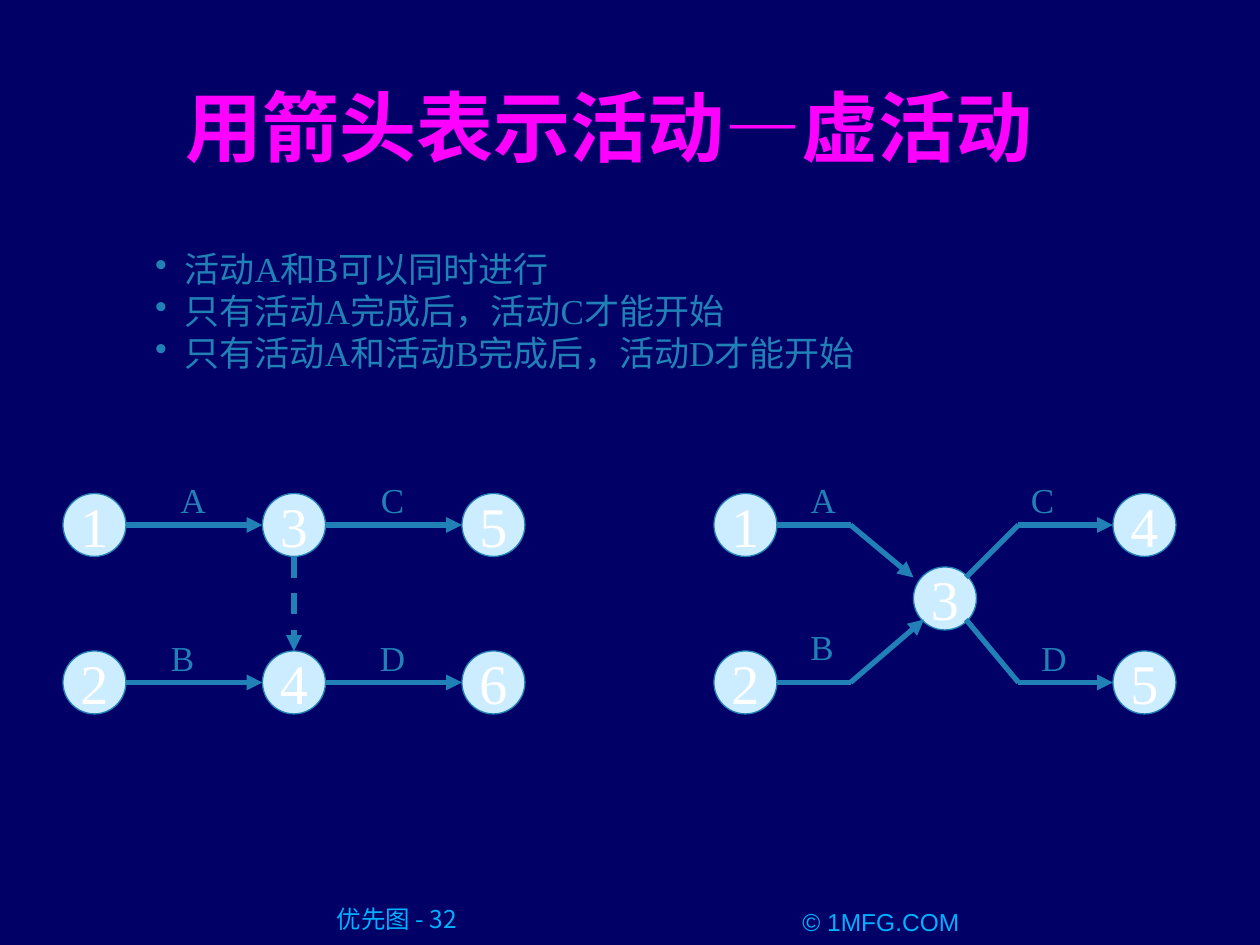
from dataclasses import dataclass
from typing import Any

from lxml import etree
from pptx import Presentation
from pptx.dml.color import RGBColor
from pptx.enum.dml import MSO_LINE
from pptx.enum.shapes import MSO_CONNECTOR, MSO_SHAPE
from pptx.enum.text import MSO_ANCHOR, PP_ALIGN
from pptx.oxml.ns import qn
from pptx.util import Emu, Pt

UNIT = 7620  # EMU in one px, 120 px to the inch
LEFT, CENTER = PP_ALIGN.LEFT, PP_ALIGN.CENTER
TOP, MIDDLE = MSO_ANCHOR.TOP, MSO_ANCHOR.MIDDLE
OVAL, STRAIGHT, DASH = MSO_SHAPE.OVAL, MSO_CONNECTOR.STRAIGHT, MSO_LINE.DASH
SERIF, SANS, CJK = "Times New Roman", "Arial", "Noto Sans CJK JP"
COLORS = {"back": "000066", "title": "FF00FF", "ink": "2181B7",
          "node": "CCECFF", "digit": "FFFFFF", "foot": "01B0FF"}
SIZE = 60
HALF = SIZE // 2
HIGH, MID, LOW = 500, 570, 650  # centre lines of the node rows


@dataclass
class Node:
    text: str
    x: int
    y: int


@dataclass
class Edge:
    x1: int
    y1: int
    x2: int
    y2: int
    arrow: bool = True
    dash: bool = False


@dataclass
class Label:
    text: str
    x: int
    y: int


@dataclass
class Graph:
    nodes: list[Node]
    edges: list[Edge]
    labels: list[Label]


def px(n: int) -> Emu:
    return Emu(n * UNIT)


def color(name: str) -> RGBColor:
    return RGBColor.from_string(COLORS[name])


def write(shape: Any, *lines: str, size: int = 20, ink: str = "ink",
          font: str = SERIF, bold: bool = False, align: Any = CENTER,
          anchor: Any = TOP, wrap: bool = True, bullet: bool = False,
          pad: tuple[int, int] = (12, 6), left: int | None = None) -> None:
    """Fill a shape with one paragraph a line; pad is (sides, top and bottom)."""
    frame = shape.text_frame
    frame.word_wrap, frame.vertical_anchor = wrap, anchor
    frame.margin_left = px(pad[0] if left is None else left)
    frame.margin_right = px(pad[0])
    frame.margin_top = frame.margin_bottom = px(pad[1])
    for i, line in enumerate(lines):
        para = frame.add_paragraph() if i else frame.paragraphs[0]
        para.alignment = align
        if bullet:
            props = para._p.get_or_add_pPr()
            props.set("marL", str(px(28)))
            props.set("indent", str(px(-28)))
            etree.SubElement(props, qn("a:buChar")).set("char", "•")
        run = para.add_run()
        run.text = line
        run.font.size, run.font.name, run.font.bold = Pt(size), font, bold
        run.font.color.rgb = color(ink)


def add_box(shapes: Any, x: int, y: int, w: int, h: int) -> Any:
    return shapes.add_textbox(px(x), px(y), px(w), px(h))


def add_node(shapes: Any, node: Node) -> None:
    oval = shapes.add_shape(OVAL, px(node.x - HALF), px(node.y - HALF),
                            px(SIZE), px(SIZE))
    oval.shadow.inherit = False
    oval.fill.solid()
    oval.fill.fore_color.rgb = color("node")
    oval.line.color.rgb = color("ink")
    oval.line.width = Pt(0.75)
    write(oval, node.text, size=32, ink="digit", anchor=MIDDLE, wrap=False)


def add_edge(shapes: Any, edge: Edge) -> None:
    link = shapes.add_connector(STRAIGHT, px(edge.x1), px(edge.y1),
                                px(edge.x2), px(edge.y2))
    link.line.color.rgb = color("ink")
    link.line.width = Pt(3)
    if edge.dash:
        link.line.dash_style = DASH
    if edge.arrow:
        etree.SubElement(link.line._ln, qn("a:tailEnd")).set("type", "triangle")
    etree.SubElement(link._element.spPr, qn("a:effectLst"))


def add_graph(slide: Any, graph: Graph) -> None:
    shapes = slide.shapes.add_group_shape().shapes
    for node in graph.nodes:
        add_node(shapes, node)
    for edge in graph.edges:
        add_edge(shapes, edge)
    for tag in graph.labels:
        write(add_box(shapes, tag.x - 24, tag.y, 48, 53), tag.text, wrap=False)


def dummy_graph() -> Graph:
    """Two rows of three nodes, tied by a dashed dummy activity."""
    cols = (90, 280, 470)
    rows = ((HIGH, "135"), (LOW, "246"))
    nodes = [Node(n, x, y) for y, names in rows for x, n in zip(cols, names)]
    edges = [Edge(a + HALF, y, b - HALF, y)
             for y, _ in rows for a, b in zip(cols, cols[1:])]
    edges.append(Edge(cols[1], HIGH + HALF, cols[1], LOW - HALF, dash=True))
    labels = [Label("A", 184, 450), Label("C", 374, 450),
              Label("B", 174, 600), Label("D", 374, 600)]
    return Graph(nodes, edges, labels)


def merged_graph() -> Graph:
    """Four outer nodes that meet in one middle node."""
    start, hub, end = 710, 900, 1090
    fork, join = 810, 970  # where the paths bend
    nodes = [Node("1", start, HIGH), Node("3", hub, MID), Node("4", end, HIGH),
             Node("2", start, LOW), Node("5", end, LOW)]
    edges = []
    for y, tip, port in ((HIGH, hub - 30, MID - 20), (LOW, hub - 20, MID + 20)):
        edges += [Edge(start + HALF, y, fork, y, arrow=False),
                  Edge(fork, y, tip, port),
                  Edge(hub + 20, port, join, y, arrow=False),
                  Edge(join, y, end - HALF, y)]
    labels = [Label("A", 784, 450), Label("B", 783, 590),
              Label("C", 993, 450), Label("D", 1004, 600)]
    return Graph(nodes, edges, labels)


def main() -> None:
    deck = Presentation()
    deck.slide_width, deck.slide_height = px(1200), px(900)
    slide = deck.slides.add_slide(deck.slide_layouts[5])
    slide.background.fill.solid()
    slide.background.fill.fore_color.rgb = color("back")

    title = slide.shapes.title
    title.left, title.top, title.width, title.height = map(px, (70, 70, 1020, 90))
    write(title, "用箭头表示活动—虚活动", size=44, ink="title", bold=True)

    write(add_box(slide.shapes, 136, 230, 721, 132),
          "活动A和B可以同时进行", "只有活动A完成后，活动C才能开始",
          "只有活动A和活动B完成后，活动D才能开始", align=LEFT, bullet=True)

    for graph in (dummy_graph(), merged_graph()):
        add_graph(slide, graph)

    write(add_box(slide.shapes, 241, 861, 250, 33), "优先图 - 32",
          size=14, ink="foot", font=CJK, pad=(0, 0), left=24)
    write(add_box(slide.shapes, 704, 864, 270, 28), "© 1MFG.COM",
          size=14, ink="foot", font=SANS, pad=(0, 0))
    deck.save("out.pptx")


if __name__ == "__main__":
    main()
